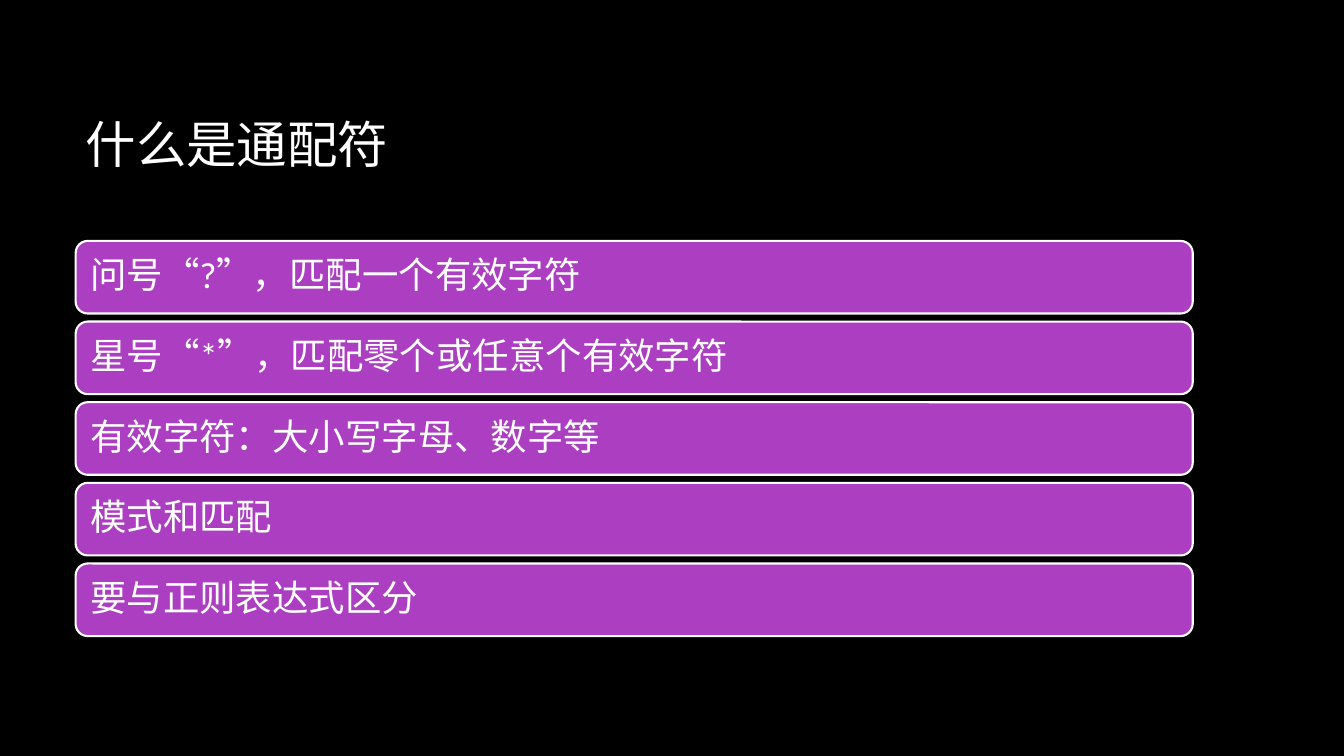
from pptx import Presentation
from pptx.dml.color import RGBColor
from pptx.enum.shapes import MSO_SHAPE
from pptx.enum.text import MSO_ANCHOR, MSO_AUTO_SIZE, PP_ALIGN
from pptx.util import Inches, Pt

ROUNDED = MSO_SHAPE.ROUNDED_RECTANGLE
MIDDLE = MSO_ANCHOR.MIDDLE
LEFT_ALIGNED = PP_ALIGN.LEFT
NO_AUTOFIT = MSO_AUTO_SIZE.NONE

TITLE = "什么是通配符"
POINTS = [
    "问号“?”，匹配一个有效字符",
    "星号“*”，匹配零个或任意个有效字符",
    "有效字符：大小写字母、数字等",
    "模式和匹配",
    "要与正则表达式区分",
]
COLORS = {"background": "000000", "bar": "AC3EC1", "white": "FFFFFF"}
FONT = "Calibri"
LEFT, WIDTH = 0.75, 11.08
TITLE_TOP, TITLE_HEIGHT = 0.67, 1.59
BAR_TOP, BAR_HEIGHT, BAR_GAP = 2.39, 0.72, 0.08
BAR_INSET = 0.11


def color(name):
    return RGBColor.from_string(COLORS[name])


def write(frame, text, size):
    frame.word_wrap = True
    frame.auto_size = NO_AUTOFIT
    frame.vertical_anchor = MIDDLE
    para = frame.paragraphs[0]
    para.alignment = LEFT_ALIGNED
    para.line_spacing = 0.9
    span = para.add_run()
    span.text = text
    span.font.name = FONT
    span.font.size = Pt(size)
    span.font.color.rgb = color("white")
    span._r.get_or_add_rPr().set("lang", "zh-CN")


def add_bar(page, top, text):
    bar = page.shapes.add_shape(
        ROUNDED, Inches(LEFT), Inches(top), Inches(WIDTH), Inches(BAR_HEIGHT)
    )
    bar.shadow.inherit = False
    bar.fill.solid()
    bar.fill.fore_color.rgb = color("bar")
    bar.line.color.rgb = color("white")
    bar.line.width = Pt(1.5)
    frame = bar.text_frame
    frame.margin_left = frame.margin_right = Inches(BAR_INSET)
    frame.margin_top = frame.margin_bottom = Inches(BAR_INSET)
    write(frame, text, 26)


def main():
    deck = Presentation()
    deck.slide_width, deck.slide_height = Inches(13.33), Inches(7.5)
    page = deck.slides.add_slide(deck.slide_layouts[5])
    page.background.fill.solid()
    page.background.fill.fore_color.rgb = color("background")

    title = page.shapes.title
    title.left, title.top = Inches(LEFT), Inches(TITLE_TOP)
    title.width, title.height = Inches(WIDTH), Inches(TITLE_HEIGHT)
    write(title.text_frame, TITLE, 36)

    for row, text in enumerate(POINTS):
        add_bar(page, BAR_TOP + row * (BAR_HEIGHT + BAR_GAP), text)

    deck.save("out.pptx")


if __name__ == "__main__":
    main()
